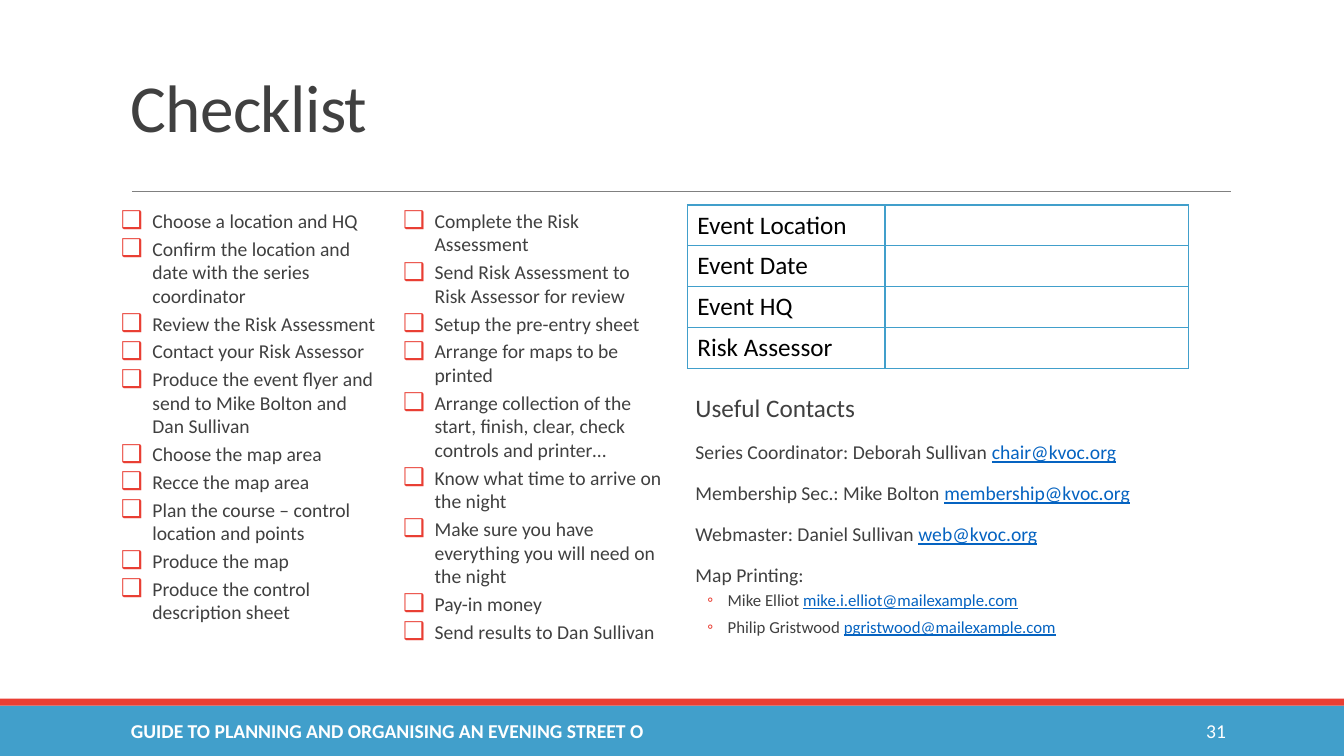
from lxml import etree
from pptx import Presentation
from pptx.dml.color import RGBColor
from pptx.enum.shapes import MSO_CONNECTOR, MSO_SHAPE
from pptx.enum.text import MSO_ANCHOR, MSO_AUTO_SIZE, PP_ALIGN
from pptx.oxml.ns import qn
from pptx.util import Pt

RECT, LINE = MSO_SHAPE.RECTANGLE, MSO_CONNECTOR.STRAIGHT
TOP, MID = MSO_ANCHOR.TOP, MSO_ANCHOR.MIDDLE
RIGHT, SHRINK = PP_ALIGN.RIGHT, MSO_AUTO_SIZE.TEXT_TO_FIT_SHAPE
BLUE = RGBColor(0x41, 0x9F, 0xCB)
RED = RGBColor(0xE9, 0x3E, 0x33)
GREY = RGBColor(0x80, 0x80, 0x80)
DARK = RGBColor(0x40, 0x40, 0x40)
LINK = RGBColor(0x05, 0x63, 0xC1)
BLACK = RGBColor(0, 0, 0)
WHITE = RGBColor(255, 255, 255)
FONT = "Calibri"

# Content
TITLE = "Checklist"
FOOTER = "GUIDE TO PLANNING AND ORGANISING AN EVENING STREET O"
NUMBER = "31"
TASKS = [
    "Choose a location and HQ",
    "Confirm the location and date with the series coordinator",
    "Review the Risk Assessment",
    "Contact your Risk Assessor",
    "Produce the event flyer and send to Mike Bolton and Dan Sullivan",
    "Choose the map area",
    "Recce the map area",
    "Plan the course – control location and points",
    "Produce the map",
    "Produce the control description sheet",
    "Complete the Risk Assessment",
    "Send Risk Assessment to Risk Assessor for review",
    "Setup the pre-entry sheet",
    "Arrange for maps to be printed",
    "Arrange collection of the start, finish, clear, check controls and printer…",
    "Know what time to arrive on the night",
    "Make sure you have everything you will need on the night",
    "Pay-in money",
    "Send results to Dan Sullivan",
]
FIELDS = ["Event Location", "Event Date", "Event HQ", "Risk Assessor"]
HEAD = "Useful Contacts"
PEOPLE = [
    ("Series Coordinator: Deborah Sullivan ", "chair@kvoc.org"),
    ("Membership Sec.: Mike Bolton ", "membership@kvoc.org"),
    ("Webmaster: Daniel Sullivan ", "web@kvoc.org"),
    ("Map Printing:", ""),
]
PRINTERS = [
    ("Mike Elliot ", "mike.i.elliot@mailexample.com"),
    ("Philip Gristwood ", "pgristwood@mailexample.com"),
]

# Paragraph formats
TASK = dict(space_before=Pt(3))
ENTRY = dict(line_spacing=0.9, space_before=Pt(12), space_after=Pt(2))
SUB = dict(line_spacing=0.9, space_before=Pt(2), space_after=Pt(4))

deck = Presentation()
deck.slide_width, deck.slide_height = Pt(960), Pt(540)
slide = deck.slides.add_slide(deck.slide_layouts[6])
shapes = slide.shapes


def add_band(top, height, color):
    band = shapes.add_shape(RECT, 0, Pt(top), Pt(960), Pt(height))
    band.shadow.inherit = False
    band.fill.solid()
    band.fill.fore_color.rgb = color
    band.line.fill.background()


def add_box(left, top, width, height, anchor=MID, side=7.2):
    frame = shapes.add_textbox(Pt(left), Pt(top), Pt(width), Pt(height)).text_frame
    look = dict(word_wrap=True, vertical_anchor=anchor,
                margin_left=Pt(side), margin_right=Pt(side))
    for key, val in look.items():
        setattr(frame, key, val)
    return frame


def add_run(para, text, size, color=DARK, **look):
    run = para.add_run()
    run.text = text
    run.font.color.rgb = color
    for key, val in dict(name=FONT, size=Pt(size), **look).items():
        setattr(run.font, key, val)
    return run


def add_para(frame, look):
    first = frame.paragraphs[0]
    para = frame.add_paragraph() if first.runs else first
    for key, val in look.items():
        setattr(para, key, val)
    return para


def indent(para, left, hang=0, mark=None, scale=100):
    props = para._p.get_or_add_pPr()
    props.set("marL", str(Pt(left)))
    props.set("indent", str(-Pt(hang)))
    if mark:
        color = etree.SubElement(props, qn("a:buClr"))
        etree.SubElement(color, qn("a:srgbClr"), val=str(RED))
        etree.SubElement(props, qn("a:buSzPct"), val=str(scale * 1000))
        etree.SubElement(props, qn("a:buFont"), typeface=FONT)
        etree.SubElement(props, qn("a:buChar"), char=mark)


def add_contact(para, name, mail, size):
    add_run(para, name, size)
    if mail:
        add_run(para, mail, size, LINK, underline=True)


def add_border(cell):
    props = cell._tc.get_or_add_tcPr()
    for pos, side in enumerate(("lnL", "lnR", "lnT", "lnB")):
        edge = etree.Element(qn("a:" + side), w=str(Pt(1)))
        fill = etree.SubElement(edge, qn("a:solidFill"))
        etree.SubElement(fill, qn("a:srgbClr"), val=str(BLUE))
        props.insert(pos, edge)


# Bands and rule
add_band(504, 36, BLUE)
add_band(499, 5, RED)
rule = shapes.add_connector(LINE, Pt(94.3), Pt(136.8), Pt(879), Pt(136.8))
rule.line.color.rgb = GREY
rule.line.width = Pt(0.5)
etree.SubElement(rule._element.spPr, qn("a:effectLst"))

# Title
para = add_para(add_box(86.4, 22.5, 792, 114.3), dict(line_spacing=0.85))
run = add_run(para, TITLE, 48)
run.font._element.set("spc", "-50")

# Checklist in two columns
frame = add_box(86.4, 145.6, 388.8, 316.8, TOP, 0)
frame.auto_size = SHRINK
body = frame._txBody.bodyPr
body.set("numCol", "2")
body.set("spcCol", str(Pt(14.4)))
for task in TASKS:
    para = add_para(frame, TASK)
    indent(para, 22.5, 22.5, "❑", 125)
    add_run(para, task, 14)

# Contacts
frame = add_box(489.6, 279.4, 388.8, 183, TOP, 0)
for name, mail, size in [(HEAD, "", 18)] + [(*who, 14) for who in PEOPLE]:
    para = add_para(frame, ENTRY)
    indent(para, 7.2)
    add_contact(para, name, mail, size)
for name, mail in PRINTERS:
    para = add_para(frame, SUB)
    indent(para, 30.2, 14.4, "◦")
    add_contact(para, name, mail, 12)

# Footer
add_run(add_box(86.4, 507.6, 584, 28.8).paragraphs[0], FOOTER, 14, WHITE, bold=True)
para = add_para(add_box(779.8, 507.6, 103, 28.8), dict(alignment=RIGHT))
add_run(para, NUMBER, 14, WHITE)

# Event table
table = shapes.add_table(len(FIELDS), 2, Pt(491), Pt(146.4), Pt(358), Pt(116.8)).table
table.first_row = table.horz_banding = False
for col, width in zip(table.columns, (141.2, 216.8)):
    col.width = Pt(width)
for row, field in zip(table.rows, FIELDS):
    row.height = Pt(29.2)
    for cell, text in zip(row.cells, (field, "")):
        cell.fill.background()
        add_border(cell)
        add_run(cell.text_frame.paragraphs[0], text, 18, BLACK)

deck.save("out.pptx")
